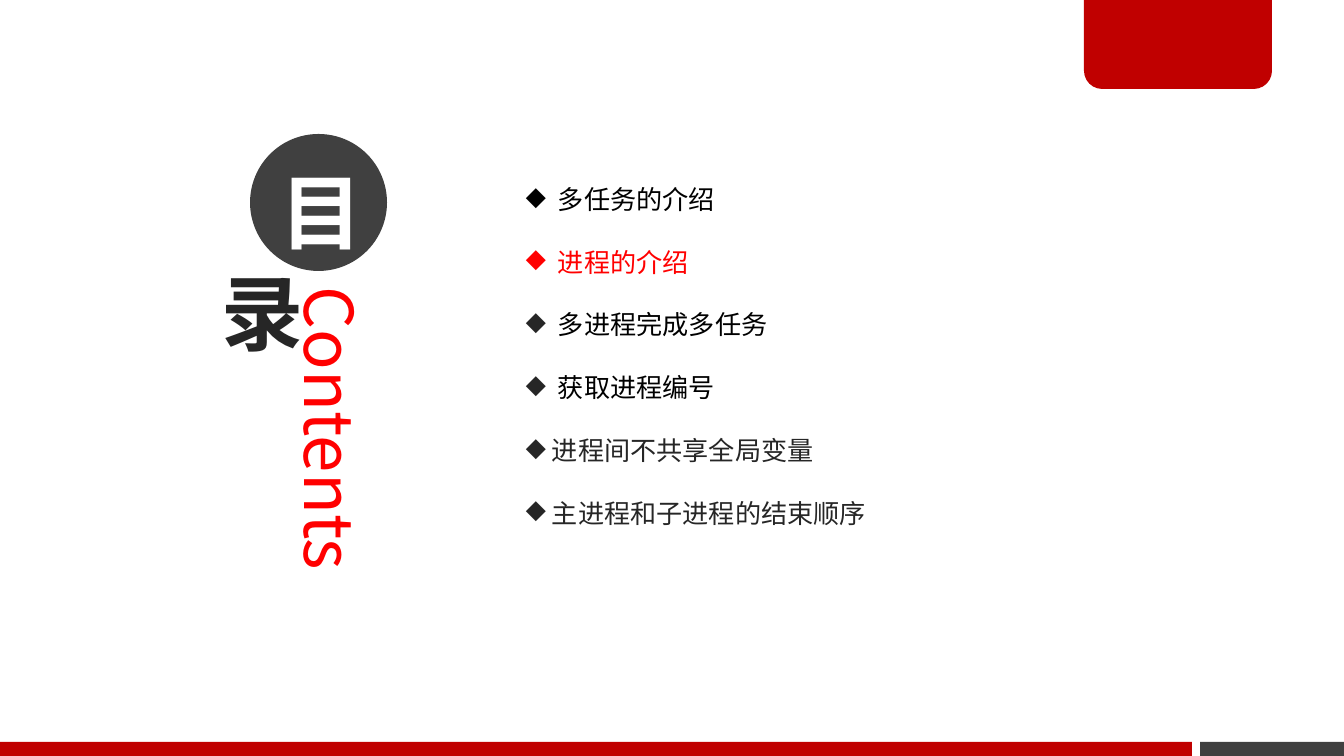
from lxml import etree
from pptx import Presentation
from pptx.dml.color import RGBColor
from pptx.enum.shapes import MSO_SHAPE
from pptx.enum.text import MSO_ANCHOR, MSO_AUTO_SIZE, PP_ALIGN
from pptx.oxml.ns import qn
from pptx.util import Pt

RECT, OVAL = MSO_SHAPE.RECTANGLE, MSO_SHAPE.OVAL
TAB = MSO_SHAPE.ROUND_2_SAME_RECTANGLE
MIDDLE, CENTER = MSO_ANCHOR.MIDDLE, PP_ALIGN.CENTER
FIT_SHAPE = MSO_AUTO_SIZE.SHAPE_TO_FIT_TEXT

FONT = "Noto Sans CJK SC"
COLORS = {
    "brand": "C00000",
    "gray": "404040",
    "ink": "262626",
    "black": "000000",
    "red": "FF0000",
    "white": "FFFFFF",
}
SMALL_INSETS = (10, 5, 10, 5)

# Text, colour, bullet colour (None follows the text), indent
TOPICS = [
    ("多任务的介绍", "black", None, 32),
    ("进程的介绍", "red", None, 32),
    ("多进程完成多任务", "black", "ink", 32),
    ("获取进程编号", "black", "ink", 32),
    ("进程间不共享全局变量", "ink", "ink", 26),
    ("主进程和子进程的结束顺序", "ink", "ink", 26),
]


def px(n):
    return round(n * 914400 / 134.4)


def add_shape(s, kind, x, y, w, h, fill=None):
    sp = s.shapes.add_shape(kind, px(x), px(y), px(w), px(h))
    sp.shadow.inherit = False
    sp.line.fill.background()
    if fill:
        sp.fill.solid()
        sp.fill.fore_color.rgb = RGBColor.from_string(COLORS[fill])
    else:
        sp.fill.background()
    return sp


def add_box(s, x, y, w, h):
    return s.shapes.add_textbox(px(x), px(y), px(w), px(h))


def set_frame(sp, insets, anchor=None):
    tf = sp.text_frame
    tf.word_wrap = True
    tf.margin_left, tf.margin_top, tf.margin_right, tf.margin_bottom = map(px, insets)
    if anchor is not None:
        tf.vertical_anchor = anchor
    return tf


def write(p, text, size, color, bold=False, align=None, spacing=None):
    if align is not None:
        p.alignment = align
    if spacing is not None:
        p.line_spacing = spacing
    r = p.add_run()
    r.text = text
    r.font.size = Pt(size)
    r.font.bold = bold
    r.font.color.rgb = RGBColor.from_string(COLORS[color])
    r.font.name = FONT
    ea = etree.SubElement(r.font._element, qn("a:ea"))
    ea.set("typeface", FONT)


def set_bullet(p, color, indent):
    pPr = p._p.get_or_add_pPr()
    pPr.set("marL", str(px(indent)))
    pPr.set("indent", str(-px(indent)))
    if color:
        bu_clr = etree.SubElement(pPr, qn("a:buClr"))
        etree.SubElement(bu_clr, qn("a:srgbClr")).set("val", COLORS[color])
    etree.SubElement(pPr, qn("a:buChar")).set("char", "◆")


def add_frame_bars(s):
    add_shape(s, RECT, 1200, 742, 144, 14, "gray")
    tab = add_shape(s, TAB, 1084, -2, 188, 91, "brand")
    tab.adjustments[0] = 0
    tab.adjustments[1] = 0.2
    add_shape(s, RECT, 0, 742, 1192, 14, "brand")


def add_heading(s):
    # Vertical English word
    tf = set_frame(add_box(s, 288, 282, 94, 388), SMALL_INSETS)
    tf._txBody.bodyPr.set("vert", "eaVert")
    write(tf.paragraphs[0], "Contents", 36, "red")

    # Two large characters
    disc = add_shape(s, OVAL, 250, 134, 137, 137, "gray")
    tf = set_frame(disc, (10, 5, 10, 20), MIDDLE)
    write(tf.paragraphs[0], "目", 44, "white", bold=True, align=CENTER, spacing=Pt(70))
    tf = set_frame(add_shape(s, OVAL, 196, 258, 108, 108), SMALL_INSETS, MIDDLE)
    write(tf.paragraphs[0], "录", 44, "ink", bold=True, align=CENTER)


def add_topics(s):
    tf = set_frame(add_box(s, 513, 145, 634, 394), (13, 7, 13, 7))
    tf.auto_size = FIT_SHAPE
    for i, (text, color, bullet_color, indent) in enumerate(TOPICS):
        p = tf.add_paragraph() if i else tf.paragraphs[0]
        set_bullet(p, bullet_color, indent)
        write(p, text, 14, color, spacing=2.0)


def main():
    prs = Presentation()
    prs.slide_width, prs.slide_height = px(1344), px(756)
    s = prs.slides.add_slide(prs.slide_layouts[6])
    add_frame_bars(s)
    add_heading(s)
    add_topics(s)
    prs.save("out.pptx")


if __name__ == "__main__":
    main()
